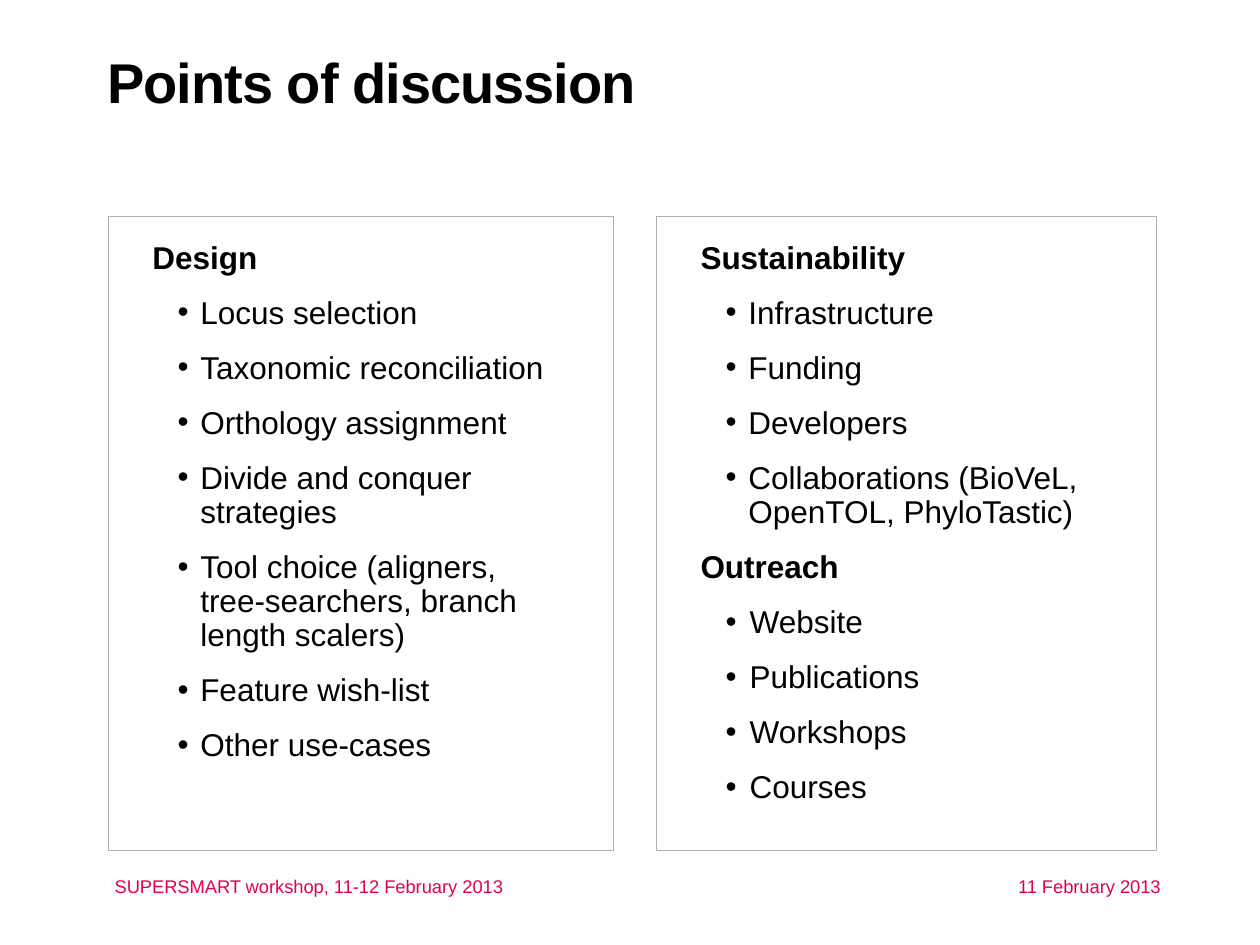
from lxml.etree import SubElement
from pptx import Presentation
from pptx.dml.color import RGBColor
from pptx.enum.text import MSO_ANCHOR as Anchor, MSO_AUTO_SIZE as AutoSize, PP_ALIGN as Align
from pptx.oxml.ns import qn
from pptx.util import Inches, Pt

COLORS = {"text": "000000", "border": "B2B1A8", "footer": "E3004A"}
FONT = "Arial"
GRID = 100  # columns and rows across the slide

# Each section: heading, list level, hanging indent of its heading and bullets, bullets
DESIGN = [
    ("Design", 0, (0.38, 0.38), (0.38, 0.18), [
        "Locus selection", "Taxonomic reconciliation", "Orthology assignment",
        "Divide and conquer strategies",
        "Tool choice (aligners, tree-searchers, branch length scalers)",
        "Feature wish-list", "Other use-cases"]),
]
FOLLOW_UP = [
    ("Sustainability", 0, (0.22, 0.22), (0.38, 0.18), [
        "Infrastructure", "Funding", "Developers",
        "Collaborations (BioVeL, OpenTOL, PhyloTastic)"]),
    ("Outreach", 1, (0.22, 0.22), (0.39, 0.19), [
        "Website", "Publications", "Workshops", "Courses"]),
]


class Deck:
    def __init__(self):
        self.prs = Presentation()
        self.prs.slide_width, self.prs.slide_height = Inches(10), Inches(7.5)
        self.s = self.prs.slides.add_slide(self.prs.slide_layouts[3])

    def box(self, col, row, cols, rows):
        dx, dy = self.prs.slide_width / GRID, self.prs.slide_height / GRID
        return [round(n) for n in (col * dx, row * dy, cols * dx, rows * dy)]

    def place(self, sp, box):
        sp.left, sp.top, sp.width, sp.height = self.box(*box)

    def frame(self, sp, insets=(0, 0, 0, 0), anchor=Anchor.TOP):
        tf = sp.text_frame
        tf.word_wrap, tf.auto_size, tf.vertical_anchor = True, AutoSize.NONE, anchor
        tf.margin_left, tf.margin_top, tf.margin_right, tf.margin_bottom = map(Inches, insets)
        return tf

    def run(self, p, text, size, color="text", bold=False):
        p.alignment = Align.LEFT
        r = p.add_run()
        r.text = text
        r.font.name, r.font.size, r.font.bold = FONT, Pt(size), bold
        r.font.color.rgb = RGBColor.from_string(COLORS[color])
        return r

    def title(self, text, box):
        sp = self.s.shapes.title
        self.place(sp, box)
        p = self.frame(sp).paragraphs[0]
        p.line_spacing = 0.9
        r = self.run(p, text, 32, bold=True)
        r.font._element.set("spc", "-60")

    def item(self, tf, text, indent, bullet=False, level=0):
        p = tf.paragraphs[0] if not tf.paragraphs[0].runs else tf.add_paragraph()
        left, hang = indent
        pPr = p._p.get_or_add_pPr()
        pPr.set("marL", str(Inches(left)))
        pPr.set("indent", str(-Inches(hang)))
        if bullet:
            SubElement(pPr, qn("a:buFont"), typeface=FONT)
            SubElement(pPr, qn("a:buChar"), char="•")
        else:
            SubElement(pPr, qn("a:buNone"))
        p.level = level
        p.line_spacing, p.space_before, p.space_after = 0.9, Pt(0), Pt(12)
        self.run(p, text, 18, bold=not bullet)

    def panel(self, idx, box, insets, sections):
        sp = self.s.placeholders[idx]
        self.place(sp, box)
        sp.line.color.rgb = RGBColor.from_string(COLORS["border"])
        sp.line.width = Pt(0.75)
        tf = self.frame(sp, insets)
        for heading, level, head_indent, bullet_indent, bullets in sections:
            self.item(tf, heading, head_indent)
            for text in bullets:
                self.item(tf, text, bullet_indent, True, level)

    def footer(self, text, box):
        sp = self.s.shapes.add_textbox(*self.box(*box))
        tf = self.frame(sp, anchor=Anchor.BOTTOM)
        self.run(tf.paragraphs[0], text, 10.5, "footer")


def main():
    deck = Deck()
    # Title
    deck.title("Points of discussion", (8.5, 5.87, 78.7, 14))
    # Two framed lists
    deck.panel(1, (8.6, 22.93, 40.1, 67.07), (0.35, 0.2, 0.35, 0), DESIGN)
    deck.panel(2, (52.1, 22.93, 39.7, 67.07), (0.35, 0.2, 0, 0), FOLLOW_UP)
    # Footer line
    deck.footer("11 February 2013", (80.8, 92.27, 12, 2.67))
    deck.footer("SUPERSMART workshop, 11-12 February 2013", (9.1, 92.27, 49.2, 2.67))
    deck.prs.save("out.pptx")


if __name__ == "__main__":
    main()
